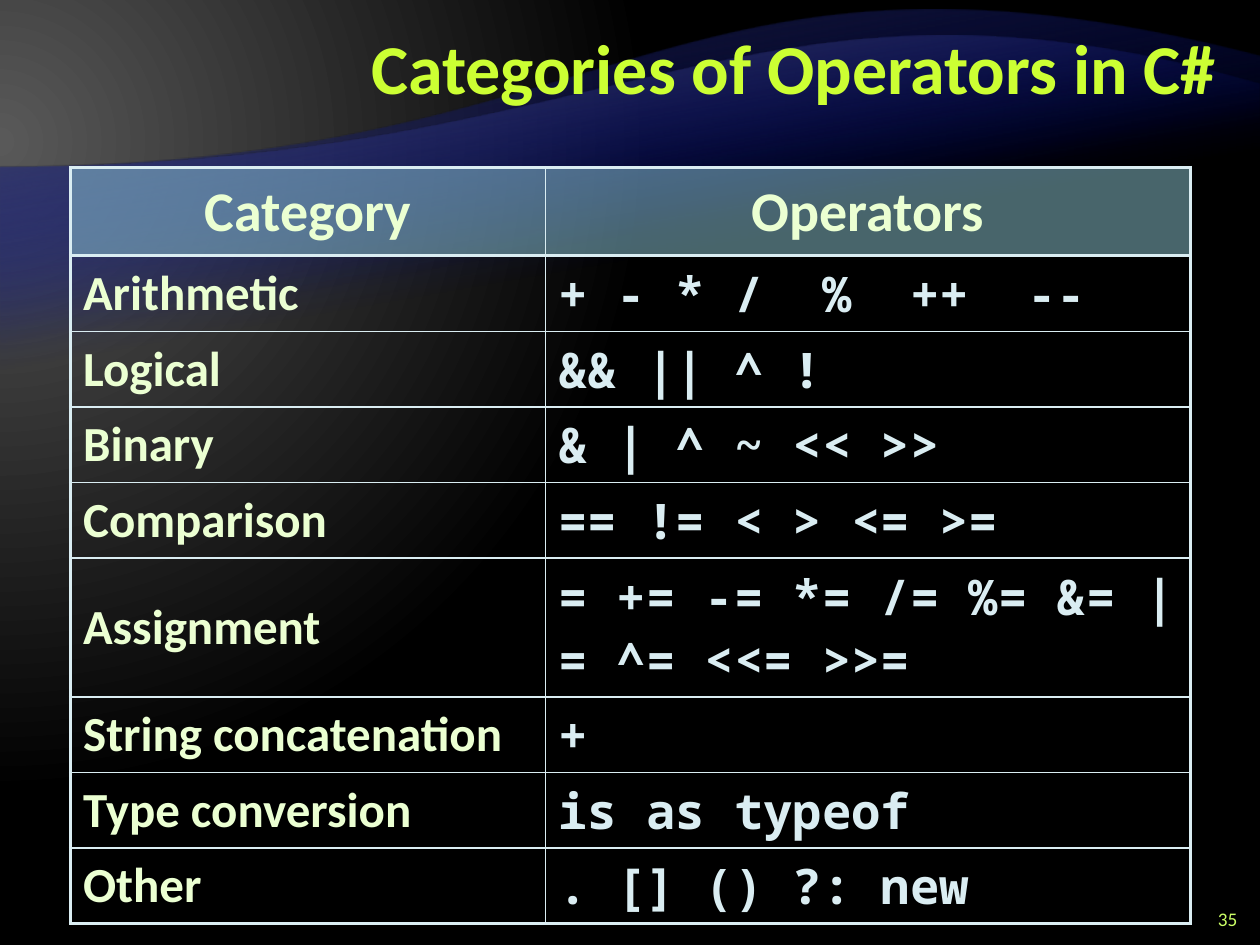
"""Build the slide listing the categories of operators in C#."""
from lxml import etree
from pptx import Presentation
from pptx.dml.color import RGBColor
from pptx.enum.text import MSO_ANCHOR, PP_ALIGN
from pptx.oxml import parse_xml
from pptx.oxml.ns import nsdecls, qn
from pptx.util import Inches, Pt

LEFT, CENTER, RIGHT = PP_ALIGN.LEFT, PP_ALIGN.CENTER, PP_ALIGN.RIGHT
MIDDLE = MSO_ANCHOR.MIDDLE
COLORS = {
    "title": "CCFF33", "number": "CCFF66", "category": "EBFFD2", "code": "DAEDF2",
    "border": "DAEDF2", "header": "90CAD7", "blue": "000D9E", "gray": "595959",
    "dark": "262626", "black": "000000",
}
SANS, MONO = "Calibri", "Noto Sans Mono"

TITLE = "Categories of Operators in C#"
NUMBER = "35"
ROWS = [
    ("Category", "Operators"),
    ("Arithmetic", "+ - * /  %  ++  --"),
    ("Logical", "&& || ^ !"),
    ("Binary", "& | ^ ~ << >>"),
    ("Comparison", "== != < > <= >="),
    ("Assignment", "= += -= *= /= %= &= |= ^= <<= >>="),
    ("String concatenation", "+"),
    ("Type conversion", "is as typeof"),
    ("Other", ". [] () ?: new"),
]
COL_WIDTHS = (3.77, 5.12)
ROW_HEIGHTS = [0.7] + [1.1 if name == "Assignment" else 0.6 for name, _ in ROWS[1:]]
THICK, THIN = 2.25, 1
WAVES = [
    {"bottom": 6.53, "curve": [(0, 1.33), (5, 1.33), (5.34, -0.75), (10, 0.45)], "end": "dark"},
    {"bottom": 5.57, "curve": [(0, 1.33), (5, 1.33), (5.98, -0.49), (10, 0.67)], "end": "gray"},
]
WAVE_STEPS = 60


def write(tf, text, *, size, color, font=SANS, bold=True, align=LEFT, spacing=None):
    p = tf.paragraphs[0]
    p.alignment = align
    p.line_spacing = spacing
    r = p.add_run()
    r.text = text
    r.font.size, r.font.name, r.font.bold = Pt(size), font, bold
    r.font.color.rgb = RGBColor.from_string(COLORS[color])


def set_gradient(fill, element, stops, direction):
    fill.gradient()
    old = element.xpath(".//a:gradFill")[0]
    marks = "".join(
        f'<a:gs pos="{pos * 1000}"><a:srgbClr val="{COLORS[color]}">'
        f'<a:alpha val="{alpha * 1000}"/></a:srgbClr></a:gs>'
        for pos, color, alpha in stops
    )
    new = parse_xml(
        f'<a:gradFill {nsdecls("a")} rotWithShape="1"><a:gsLst>{marks}</a:gsLst>{direction}</a:gradFill>'
    )
    old.getparent().replace(old, new)


def bezier(points, t):
    weights = ((1 - t) ** 3, 3 * t * (1 - t) ** 2, 3 * t * t * (1 - t), t ** 3)
    return tuple(Inches(sum(w * pt[axis] for w, pt in zip(weights, points))) for axis in (0, 1))


def add_wave(s, index, bottom, curve, end):
    outline = [bezier(curve, i / WAVE_STEPS) for i in range(WAVE_STEPS + 1)]
    builder = s.shapes.build_freeform(Inches(0), Inches(bottom))
    builder.add_line_segments(outline + [(Inches(10), Inches(bottom))], close=True)
    sp = builder.convert_to_shape()
    sp.shadow.inherit = False
    sp.line.fill.background()
    set_gradient(sp.fill, sp.element, [(65, "blue", 0), (100, end, 100)],
                 '<a:lin ang="15600000" scaled="0"/>')
    sp.element.getparent().insert(2 + index, sp.element)


def set_borders(cell, widths):
    tc_pr = cell._tc.get_or_add_tcPr()
    for i, (side, width) in enumerate(zip("LRTB", widths)):
        ln = etree.Element(qn(f"a:ln{side}"), w=str(int(Pt(width))))
        solid = etree.SubElement(ln, qn("a:solidFill"))
        etree.SubElement(solid, qn("a:srgbClr"), val=COLORS["border"])
        tc_pr.insert(i, ln)


def format_cell(cell, text, row, col):
    header = row == 0
    cell.vertical_anchor = MIDDLE
    if header:
        cell.fill.solid()
        cell.fill.fore_color.rgb = RGBColor.from_string(COLORS["header"])
        color = cell._tc.xpath("./a:tcPr/a:solidFill/a:srgbClr")[0]
        etree.SubElement(color, qn("a:alpha"), val="50000")
    else:
        cell.fill.background()
    code = col == 1 and not header
    write(cell.text_frame, text, size=32 if header else 28, font=MONO if code else SANS,
          color="code" if code else "category", align=CENTER if header else LEFT, spacing=0.95)
    outer = (col == 0, col == 1, row <= 1, row in (0, len(ROWS) - 1))
    set_borders(cell, [THICK if edge else THIN for edge in outer])


def add_operator_table(s):
    frame = s.shapes.add_table(len(ROWS), len(COL_WIDTHS), Inches(0.56), Inches(1.33),
                               Inches(sum(COL_WIDTHS)), Inches(sum(ROW_HEIGHTS)))
    table = frame.table
    table.first_row = table.horz_banding = False
    for column, width in zip(table.columns, COL_WIDTHS):
        column.width = Inches(width)
    for i, (height, texts) in enumerate(zip(ROW_HEIGHTS, ROWS)):
        table.rows[i].height = Inches(height)
        for j, text in enumerate(texts):
            format_cell(table.cell(i, j), text, i, j)


def main():
    prs = Presentation()
    prs.slide_width, prs.slide_height = Inches(10), Inches(7.5)
    s = prs.slides.add_slide(prs.slide_layouts[5])
    set_gradient(s.background.fill, s.element, [(0, "gray", 100), (83, "black", 100)],
                 '<a:path path="circle"><a:fillToRect l="20000" t="30000" r="135000" b="100000"/></a:path>')
    for i, wave in enumerate(WAVES):
        add_wave(s, i, **wave)

    title = s.shapes.title
    title.left, title.top, title.width, title.height = map(Inches, (2, 0.08, 7.75, 1))
    title.text_frame.vertical_anchor = MIDDLE
    write(title.text_frame, TITLE, size=40, color="title", align=RIGHT, spacing=Pt(40))

    number = s.shapes.add_textbox(*map(Inches, (9.42, 7.17, 0.5, 0.25))).text_frame
    number.word_wrap = True
    number.vertical_anchor = MIDDLE
    write(number, NUMBER, size=11, color="number", bold=False, align=RIGHT)

    add_operator_table(s)
    prs.save("out.pptx")


if __name__ == "__main__":
    main()
